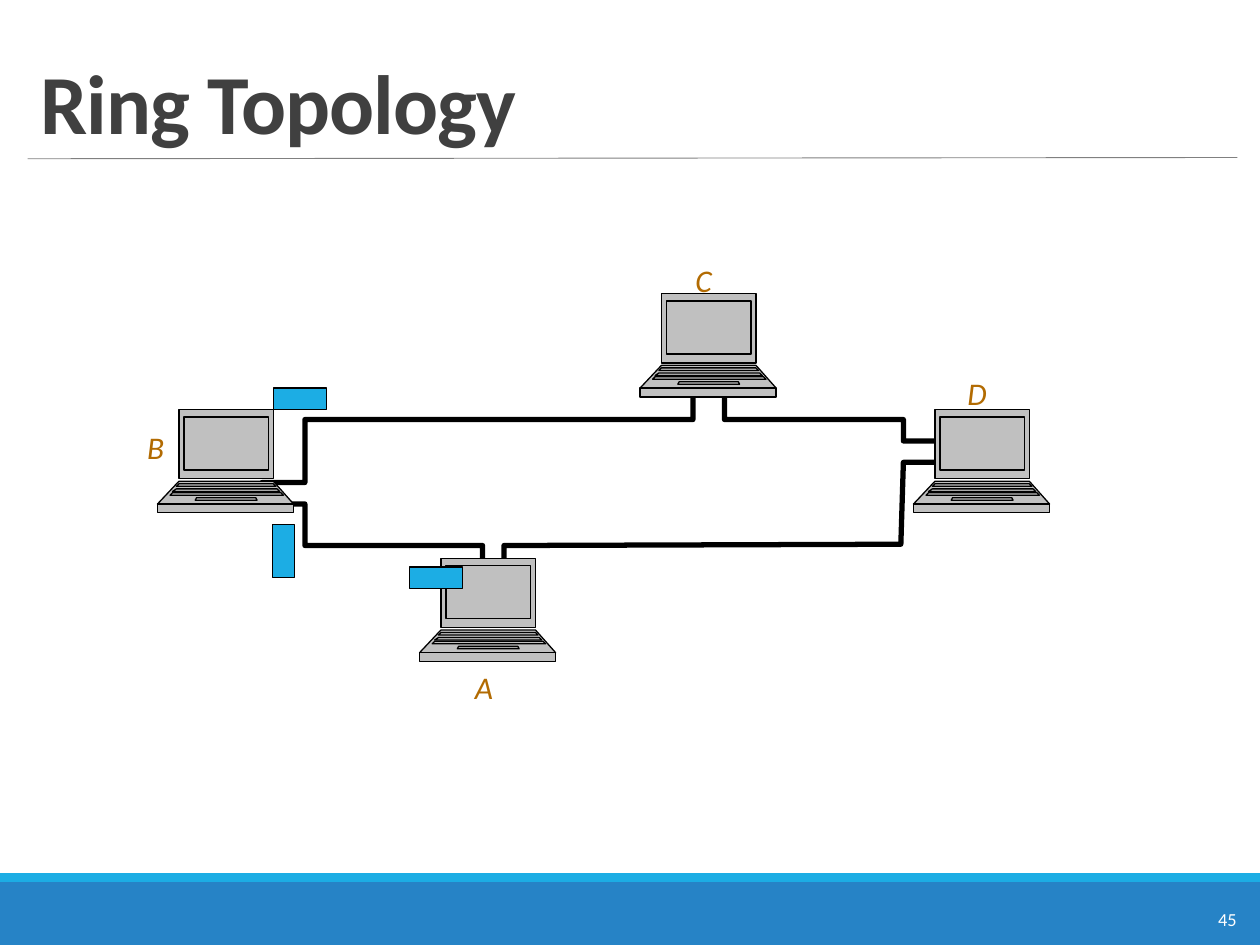
from copy import deepcopy

from pptx import Presentation
from pptx.dml.color import RGBColor
from pptx.enum.shapes import MSO_CONNECTOR, MSO_SHAPE
from pptx.enum.text import MSO_ANCHOR, MSO_AUTO_SIZE, PP_ALIGN
from pptx.oxml import parse_xml
from pptx.oxml.ns import nsdecls, qn
from pptx.util import Inches, Pt

SLIDE_W, SLIDE_H = 10, 7.5
FONT = "Calibri"
COLORS = {
    "title": "404040", "rule": "808080", "footer": "2683C6", "accent": "1CADE4",
    "cable": "000000", "laptop": "C0C0C0", "label": "B26B02", "page": "FFFFFF",
}

TITLE = "Ring Topology"
PAGE_NUMBER = "45"
BANDS = [("footer", 7, 0.5), ("accent", 6.93, 0.07)]
STATIONS = [
    ("C", (5.08, 2.33), (5.42, 2.02)),
    ("D", (7.25, 3.25), (7.58, 2.92)),
    ("B", (1.25, 3.25), (1.07, 3.35)),
    ("A", (3.33, 4.43), (3.67, 5.25)),
]
PACKET_SIZE = (0.42, 0.17)
PACKETS = [(3.25, 4.5, 0), (2.04, 4.29, 90), (2.17, 3.08, 0)]
RING = [
    (3.83, 4.67), (3.83, 4.33), (2.42, 4.33), (2.42, 4), (2.08, 4), (2.08, 3.83),
    (2.42, 3.83), (2.42, 3.33), (5.5, 3.33), (5.5, 3), (5.75, 3), (5.75, 3.33),
    (7.17, 3.33), (7.17, 3.5), (7.5, 3.5), (7.5, 3.67), (7.17, 3.67),
    (7.15, 4.32), (4, 4.33), (4, 4.67),
]
# Each part: top edge (left, right, y), then bottom edge (left, right, y)
LAPTOP_PARTS = [
    ((0.17, 0.92, 0), (0.17, 0.92, 0.55)),
    ((0.17, 0.92, 0.57), (0, 1.08, 0.75)),
    ((0, 1.08, 0.75), (0, 1.08, 0.82)),
    ((0.21, 0.88, 0.06), (0.21, 0.88, 0.48)),
    ((0.17, 0.92, 0.59), (0.15, 0.94, 0.61)),
    ((0.31, 0.78, 0.7), (0.3, 0.79, 0.72)),
    ((0.15, 0.95, 0.63), (0.12, 0.97, 0.65)),
    ((0.12, 0.98, 0.66), (0.1, 1, 0.68)),
]


def rgb(key):
    return RGBColor.from_string(COLORS[key])


def emu(points):
    return [(Inches(x), Inches(y)) for x, y in points]


def write(frame, text, size, color, bold=False, italic=False):
    paragraph = frame.paragraphs[0]
    paragraph.alignment = PP_ALIGN.LEFT
    run = paragraph.add_run()
    run.text = text
    font = run.font
    font.name, font.size, font.bold, font.italic = FONT, Pt(size), bold, italic
    font.color.rgb = rgb(color)
    return paragraph, run


def add_label(slide, text, left, top, width, height, **style):
    frame = slide.shapes.add_textbox(*map(Inches, (left, top, width, height))).text_frame
    frame.word_wrap = False
    frame.auto_size = MSO_AUTO_SIZE.SHAPE_TO_FIT_TEXT
    write(frame, text, **style)


def paint(shape, fill=None, line_width=None):
    shape.shadow.inherit = False
    if fill:
        shape.fill.solid()
        shape.fill.fore_color.rgb = rgb(fill)
    else:
        shape.fill.background()
    if line_width:
        shape.line.color.rgb = rgb("cable")
        shape.line.width = Pt(line_width)
    else:
        shape.line.fill.background()


def add_rect(slide, left, top, width, height, fill, line_width=None):
    rect = slide.shapes.add_shape(
        MSO_SHAPE.RECTANGLE, *map(Inches, (left, top, width, height)))
    paint(rect, fill, line_width)
    return rect


def add_title(slide):
    title = slide.shapes.title
    title.left, title.top, title.width, title.height = map(Inches, (0.22, 0.25, 9.6, 1))
    frame = title.text_frame
    frame.vertical_anchor = MSO_ANCHOR.BOTTOM
    frame.auto_size = MSO_AUTO_SIZE.NONE
    paragraph, run = write(frame, TITLE, size=48, color="title", bold=True)
    paragraph.line_spacing = 0.85
    run.font._element.set("spc", "-50")


def add_rule(slide):
    rule = slide.shapes.add_connector(
        MSO_CONNECTOR.STRAIGHT, *map(Inches, (0.22, 1.26, 9.82, 1.25)))
    rule.line.color.rgb = rgb("rule")
    rule.line.width = Pt(0.5)
    rule._element.spPr.append(parse_xml(f"<a:effectLst {nsdecls('a')}/>"))


def add_ring(slide):
    start, *corners = emu(RING)
    builder = slide.shapes.build_freeform(*start)
    builder.add_line_segments(corners, close=False)
    paint(builder.convert_to_shape(), line_width=3)


def split_contours(shape):
    whole = shape._element.spPr.find(".//" + qn("a:path"))
    current = None
    for step in list(whole):
        if step.tag == qn("a:moveTo"):
            current = deepcopy(whole)
            for old_step in list(current):
                current.remove(old_step)
            whole.addprevious(current)
        current.append(deepcopy(step))
    whole.getparent().remove(whole)


def add_laptop(slide, left, top):
    builder = None
    for (x1, x2, y1), (x3, x4, y2) in LAPTOP_PARTS:
        outline = [(x1, y1), (x2, y1), (x4, y2), (x3, y2)]
        start, *corners = emu((left + x, top + y) for x, y in outline)
        if builder is None:
            builder = slide.shapes.build_freeform(*start)
        else:
            builder.move_to(*start)
        builder.add_line_segments(corners, close=True)
    laptop = builder.convert_to_shape()
    split_contours(laptop)
    paint(laptop, "laptop", 0.75)


def main():
    deck = Presentation()
    deck.slide_width, deck.slide_height = Inches(SLIDE_W), Inches(SLIDE_H)
    slide = deck.slides.add_slide(deck.slide_layouts[5])

    for fill, top, height in BANDS:
        add_rect(slide, 0, top, SLIDE_W, height, fill)
    add_rule(slide)
    add_label(slide, PAGE_NUMBER, 9.57, 7.16, 0.37, 0.28, size=10.5, color="page")
    add_title(slide)

    add_ring(slide)
    for _, corner, _ in STATIONS:
        add_laptop(slide, *corner)
    for left, top, angle in PACKETS:
        add_rect(slide, left, top, *PACKET_SIZE, "accent", 0.75).rotation = angle
    for name, _, corner in STATIONS:
        add_label(slide, name, *corner, 0.35, 0.4, size=18, color="label", italic=True)

    deck.save("out.pptx")


if __name__ == "__main__":
    main()
